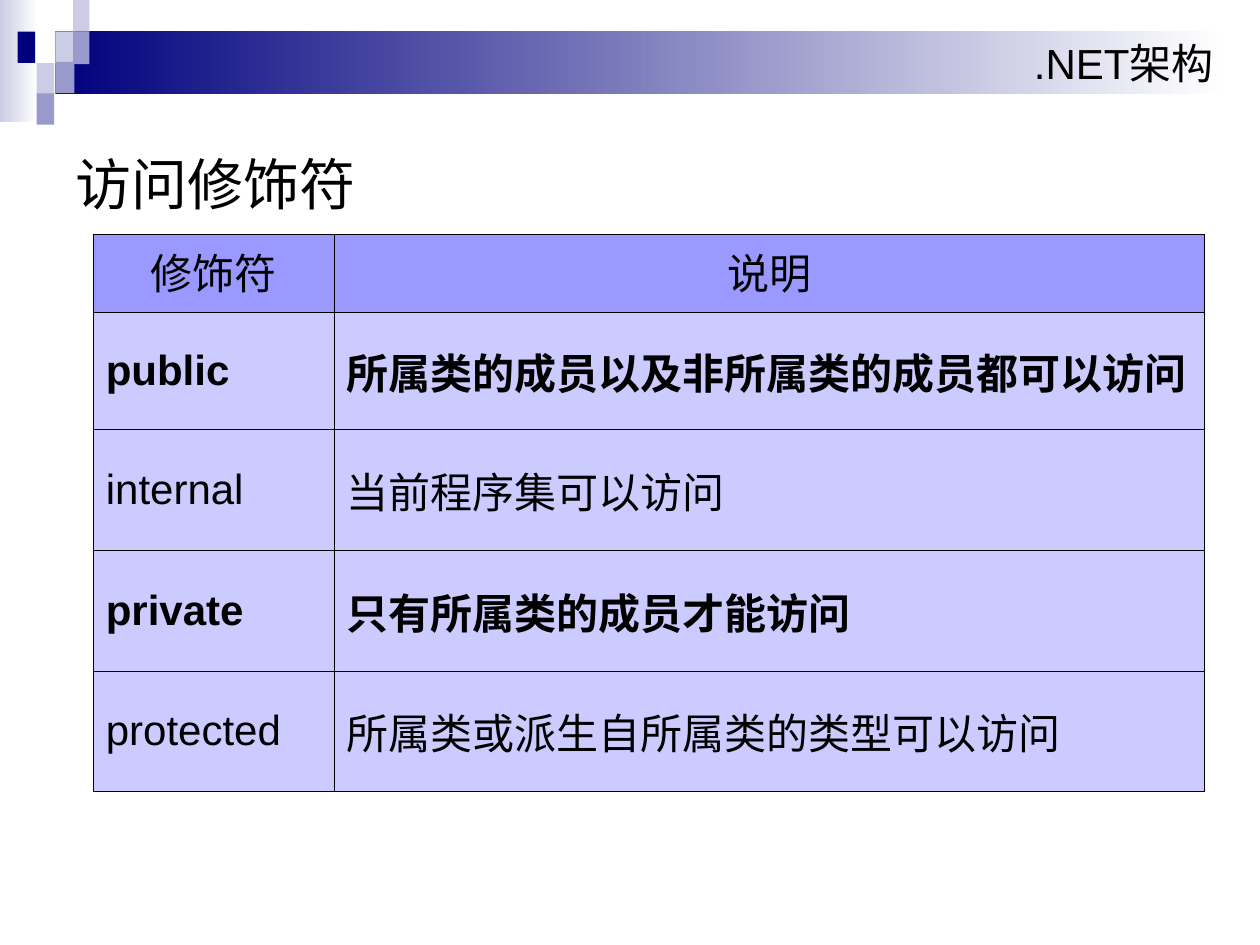
from dataclasses import dataclass

from lxml import etree
from pptx import Presentation
from pptx.dml.color import RGBColor
from pptx.enum import shapes, text
from pptx.oxml import ns
from pptx.util import Inches, Pt

NAVY, PALE, MID, WHITE, BLACK = "00007D", "CCCCE6", "9999CC", "FFFFFF", "000000"
TABLE_BLUE = "9999FF"
LATIN, SERIF = "Arial", "Times New Roman"
ALIGN, ANCHOR = text.PP_ALIGN, text.MSO_ANCHOR


@dataclass
class Block:
    left: float
    top: float
    width: float
    height: float
    color: str
    fade_to: str = ""


@dataclass
class Modifier:
    name: str
    meaning: str
    height: float
    bold: bool = False
    hanging: bool = True


def rgb(value: str) -> RGBColor:
    return RGBColor.from_string(value)


def add_run(p, words: str, size: float, font: str, bold: bool = False) -> None:
    r = p.add_run()
    r.text = words
    r.font.size, r.font.name, r.font.bold = Pt(size), font, bold
    r.font.color.rgb = rgb(BLACK)


def draw_block(slide, b: Block):
    sp = slide.shapes.add_shape(shapes.MSO_SHAPE.RECTANGLE, Inches(b.left), Inches(b.top),
                                Inches(b.width), Inches(b.height))
    sp.shadow.inherit = False
    sp.line.fill.background()
    if b.fade_to:
        sp.fill.gradient()
        sp.fill.gradient_angle = 0
        for stop, color in zip(sp.fill.gradient_stops, (b.color, b.fade_to)):
            stop.color.rgb = rgb(color)
    else:
        sp.fill.solid()
        sp.fill.fore_color.rgb = rgb(b.color)
    return sp


def style_cell(cell, color: str, alpha: int = 100) -> None:
    """Thin black borders, then a solid fill of the given opacity."""
    tc_pr = cell._tc.get_or_add_tcPr()
    for side in ("a:lnL", "a:lnR", "a:lnT", "a:lnB"):
        ln = etree.SubElement(tc_pr, ns.qn(side), w=str(Pt(0.45)))
        line_fill = etree.SubElement(ln, ns.qn("a:solidFill"))
        etree.SubElement(line_fill, ns.qn("a:srgbClr"), val=BLACK)
    cell.fill.solid()
    cell.fill.fore_color.rgb = rgb(color)
    if alpha < 100:
        clr = tc_pr.find(ns.qn("a:solidFill")).find(ns.qn("a:srgbClr"))
        etree.SubElement(clr, ns.qn("a:alpha"), val=str(alpha * 1000))


def write_cell(cell, words: str, font: str, align, anchor,
               bold: bool = False, hanging: bool = True) -> None:
    cell.vertical_anchor = anchor
    p = cell.text_frame.paragraphs[0]
    p.alignment = align
    if hanging:
        p_pr = p._p.get_or_add_pPr()
        p_pr.set("marL", str(Inches(0.38)))
        p_pr.set("indent", str(-Inches(0.38)))
    add_run(p, words, 24, font, bold)


EDGE = Block(0, 0, 0.3, 0.97, PALE, WHITE)
BANNER = Block(0.44, 0.25, 9.29, 0.5, NAVY, WHITE)
SQUARES = [
    Block(0.44, 0.25, 0.15, 0.26, PALE),
    Block(0.58, 0, 0.13, 0.25, PALE),
    Block(0.58, 0.25, 0.13, 0.26, MID),
    Block(0.29, 0.5, 0.14, 0.25, PALE),
    Block(0.14, 0.25, 0.14, 0.25, NAVY),
    Block(0.44, 0.49, 0.15, 0.25, MID),
    Block(0.29, 0.74, 0.14, 0.25, MID),
]
HEADINGS = ("修饰符", "说明")
HEADING_HEIGHT = 0.62
COLUMN_WIDTHS = (1.91, 6.91)
MODIFIERS = [
    Modifier("public", "所属类的成员以及非所属类的成员都可以访问", 0.93, bold=True, hanging=False),
    Modifier("internal", "当前程序集可以访问", 0.96),
    Modifier("private", "只有所属类的成员才能访问", 0.96, bold=True),
    Modifier("protected", "所属类或派生自所属类的类型可以访问", 0.95, hanging=False),
]


def main() -> None:
    prs = Presentation()
    prs.slide_width, prs.slide_height = Inches(10), Inches(7.5)
    slide = prs.slides.add_slide(prs.slide_layouts[5])

    # Header band and its squares
    draw_block(slide, EDGE)
    banner = draw_block(slide, BANNER)
    tf = banner.text_frame
    tf.vertical_anchor = ANCHOR.MIDDLE
    p = tf.paragraphs[0]
    p.alignment = ALIGN.RIGHT
    add_run(p, ".NET架构", 24, LATIN)
    for square in SQUARES:
        draw_block(slide, square)

    # Title
    title = slide.shapes.title
    title.left, title.top = Inches(0.5), Inches(0.91)
    title.width, title.height = Inches(9), Inches(1.09)
    title.text_frame.vertical_anchor = ANCHOR.MIDDLE
    p = title.text_frame.paragraphs[0]
    p.alignment = ALIGN.LEFT
    add_run(p, "访问修饰符", 32, LATIN)

    # Table of modifiers
    heights = [HEADING_HEIGHT] + [m.height for m in MODIFIERS]
    table = slide.shapes.add_table(len(heights), len(COLUMN_WIDTHS), Inches(0.74), Inches(1.86),
                                   Inches(sum(COLUMN_WIDTHS)), Inches(sum(heights))).table
    for column, width in zip(table.columns, COLUMN_WIDTHS):
        column.width = Inches(width)
    for row, height in zip(table.rows, heights):
        row.height = Inches(height)
    for i, heading in enumerate(HEADINGS):
        cell = table.cell(0, i)
        style_cell(cell, TABLE_BLUE)
        write_cell(cell, heading, SERIF, ALIGN.CENTER, ANCHOR.TOP)
    for i, m in enumerate(MODIFIERS, start=1):
        name, meaning = table.cell(i, 0), table.cell(i, 1)
        for cell in (name, meaning):
            style_cell(cell, TABLE_BLUE, alpha=50)
        write_cell(name, m.name, LATIN, ALIGN.JUSTIFY, ANCHOR.MIDDLE, m.bold)
        write_cell(meaning, m.meaning, SERIF, ALIGN.LEFT, ANCHOR.MIDDLE, m.bold, m.hanging)

    prs.save("out.pptx")


if __name__ == "__main__":
    main()
